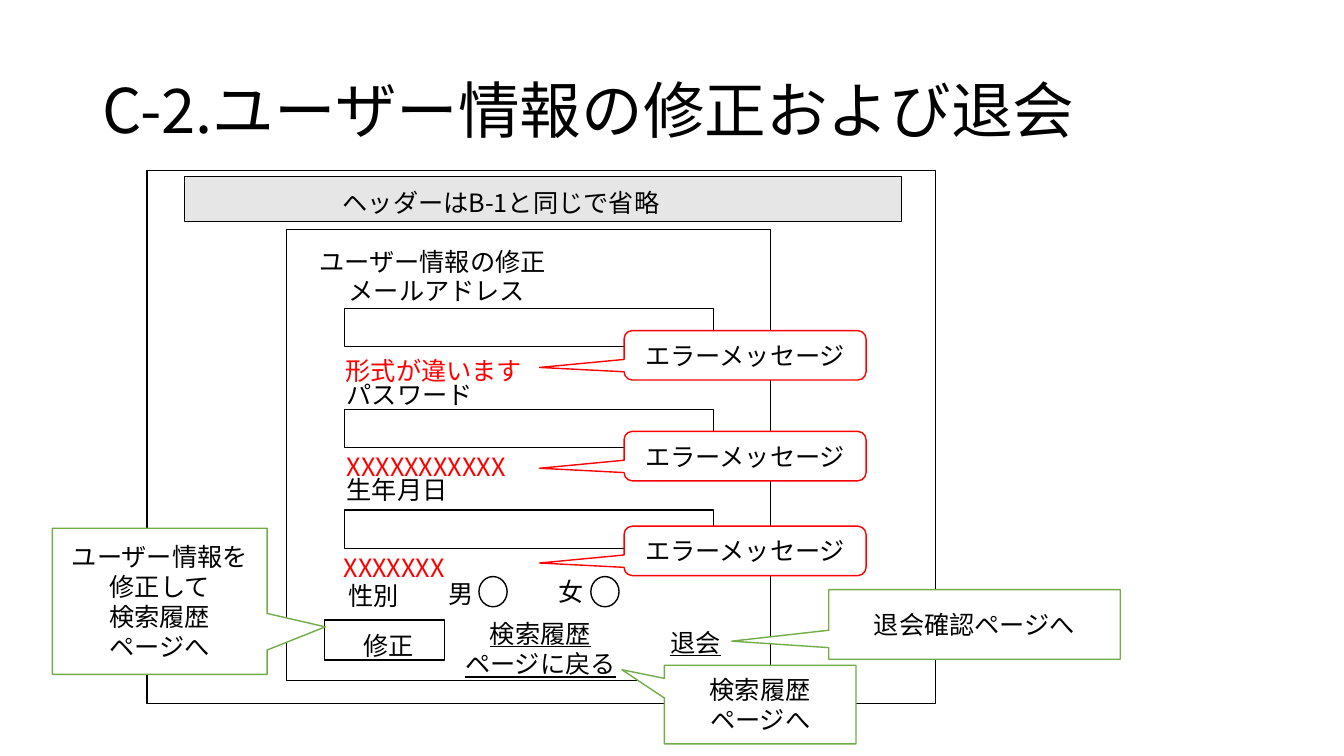
from pptx import Presentation
from pptx.dml.color import RGBColor
from pptx.enum.shapes import MSO_SHAPE
from pptx.enum.text import MSO_ANCHOR, PP_ALIGN
from pptx.oxml.ns import qn
from pptx.util import Inches, Pt
from lxml import etree

RECTANGLE = MSO_SHAPE.RECTANGLE
CIRCLE = MSO_SHAPE.FLOWCHART_CONNECTOR
CALLOUT = MSO_SHAPE.RECTANGULAR_CALLOUT
ROUND_CALLOUT = MSO_SHAPE.ROUNDED_RECTANGULAR_CALLOUT
LEFT, CENTER = PP_ALIGN.LEFT, PP_ALIGN.CENTER
TOP, MIDDLE = MSO_ANCHOR.TOP, MSO_ANCHOR.MIDDLE

FONT = "Noto Sans CJK JP"
COLORS = {
    "text": "000000",
    "outline": "000000",
    "paper": "FFFFFF",
    "header": "E7E6E6",
    "error": "FF0000",
    "action": "70AD47",
}


def color(name):
    """Return the named colour."""
    return RGBColor.from_string(COLORS[name])


def write(shape, text, align, anchor, size=18, ink="text", underline=False):
    """Write each line of text as a paragraph of the shape."""
    frame = shape.text_frame
    frame.word_wrap = True
    frame.vertical_anchor = anchor
    frame.text = text
    for paragraph in frame.paragraphs:
        paragraph.alignment = align
        font = paragraph.font
        font.name, font.size = FONT, Pt(size)
        font.color.rgb = color(ink)
        if underline:
            font.underline = True
        east_asian = etree.SubElement(font._element, qn("a:ea"))
        east_asian.set("typeface", FONT)


def add_label(slide, box, text, align=LEFT, anchor=TOP, **style):
    """Add a text box and return it."""
    label = slide.shapes.add_textbox(*map(Inches, box))
    write(label, text, align, anchor, **style)
    return label


def add_outline(slide, kind, box, fill="paper", line="outline"):
    """Add a filled preset shape with a thin outline."""
    shape = slide.shapes.add_shape(kind, *map(Inches, box))
    shape.shadow.inherit = False
    shape.fill.solid()
    shape.fill.fore_color.rgb = color(fill)
    shape.line.color.rgb = color(line)
    shape.line.width = Pt(1)
    return shape


def add_callout(slide, kind, box, text, tip, line):
    """Add a callout whose tip is given as shares of its size."""
    callout = add_outline(slide, kind, box, line=line)
    for index, value in enumerate(tip):
        callout.adjustments[index] = value
    write(callout, text, CENTER, MIDDLE)


def add_title(slide, box):
    """Add the slide title."""
    title = add_label(slide, box, "C-2.ユーザー情報の修正および退会",
                      anchor=MIDDLE, size=44)
    title.text_frame.paragraphs[0].line_spacing = 0.9


def add_page(slide, box):
    """Add the page frame with its header bar."""
    left, top, width, height = box
    add_outline(slide, RECTANGLE, box)
    add_outline(slide, RECTANGLE, (left + 0.37, top + 0.06, width - 0.71, 0.45),
                fill="header")
    add_label(slide, (left + 1.84, top + 0.12, 3.51, 0.4), "ヘッダーはB-1と同じで省略")


def add_field(slide, box, name, name_offset, error, error_offset, callout_offset):
    """Add an input field with its name, error text and error callout."""
    left, top, width, height = box
    add_outline(slide, RECTANGLE, box)
    add_label(slide, (left + name_offset[0], top + name_offset[1], 2.03, 0.4), name)
    add_label(slide, (left + error_offset[0], top + error_offset[1], 3.92, 0.4),
              error, ink="error")
    add_callout(slide, ROUND_CALLOUT,
                (left + 2.77, top + callout_offset, 2.4, 0.49),
                "エラーメッセージ", (-0.849, 0.246, 0.167), "error")


def add_gender(slide, box):
    """Add the gender row with its two radio buttons."""
    left, top, width, height = box
    add_label(slide, (left, top + 0.04, 2.03, height), "性別")
    for name, x, y, gap in (("男", 0.99, 0.02, 0.4), ("女", 2.08, 0, 0.42)):
        add_label(slide, (left + x, top + y, 2.03, height), name)
        add_outline(slide, CIRCLE, (left + x + gap, top + 0.05, 0.28, 0.3))


def add_form(slide, box):
    """Add the user form: heading, fields, gender row, button and links."""
    left, top, width, height = box
    add_outline(slide, RECTANGLE, box)
    add_label(slide, (left + 0.23, top + 0.11, 2.88, 0.4), "ユーザー情報の修正")

    fields = (
        ("メールアドレス", (-0.06, -0.38), "形式が違います", (-0.09, 0.42), 0.22),
        ("パスワード", (-0.08, -0.35), "XXXXXXXXXXX", (-0.08, 0.37), 0.22),
        ("生年月日", (-0.08, -0.4), "XXXXXXX", (-0.11, 0.37), 0.16),
    )
    for row, field in enumerate(fields):
        add_field(slide, (left + 0.58, top + 0.78 + row, 3.66, 0.38), *field)
    add_gender(slide, (left + 0.52, top + 3.39, 2.8, 0.4))

    add_outline(slide, RECTANGLE, (left + 0.38, top + 3.87, 1.19, 0.4))
    add_label(slide, (left + 0.67, top + 3.92, 2.03, 0.4), "修正")
    add_label(slide, (left + 1.54, top + 3.8, 1.96, 0.71),
              "検索履歴\nページに戻る", CENTER, underline=True)
    add_label(slide, (left + 3.08, top + 3.89, 1.96, 0.4),
              "退会", CENTER, underline=True)


def add_actions(slide, box):
    """Add the callouts that tell where the button and links lead."""
    left, top, width, height = box
    actions = (
        ("ユーザー情報を\n修正して\n検索履歴\nページへ",
         (0, 0, 2.13, 1.45), (0.771, 0.175)),
        ("検索履歴\nページへ", (6.07, 1.36, 1.9, 0.78), (-0.722, -0.443)),
        ("退会確認ページへ", (7.7, 0.61, 2.89, 0.69), (-0.833, 0.24)),
    )
    for text, (x, y, wide, high), tip in actions:
        add_callout(slide, CALLOUT, (left + x, top + y, wide, high), text, tip, "action")


def main():
    """Build the slide and save it."""
    presentation = Presentation()
    presentation.slide_width = Inches(13.33)
    presentation.slide_height = Inches(7.5)
    slide = presentation.slides.add_slide(presentation.slide_layouts[6])
    add_title(slide, (0.92, 0.4, 11.5, 1.45))
    add_page(slide, (1.46, 1.69, 7.82, 5.29))
    add_form(slide, (2.84, 2.28, 4.8, 4.47))
    add_actions(slide, (0.52, 5.24, 10.59, 2.14))
    presentation.save("out.pptx")


main()
